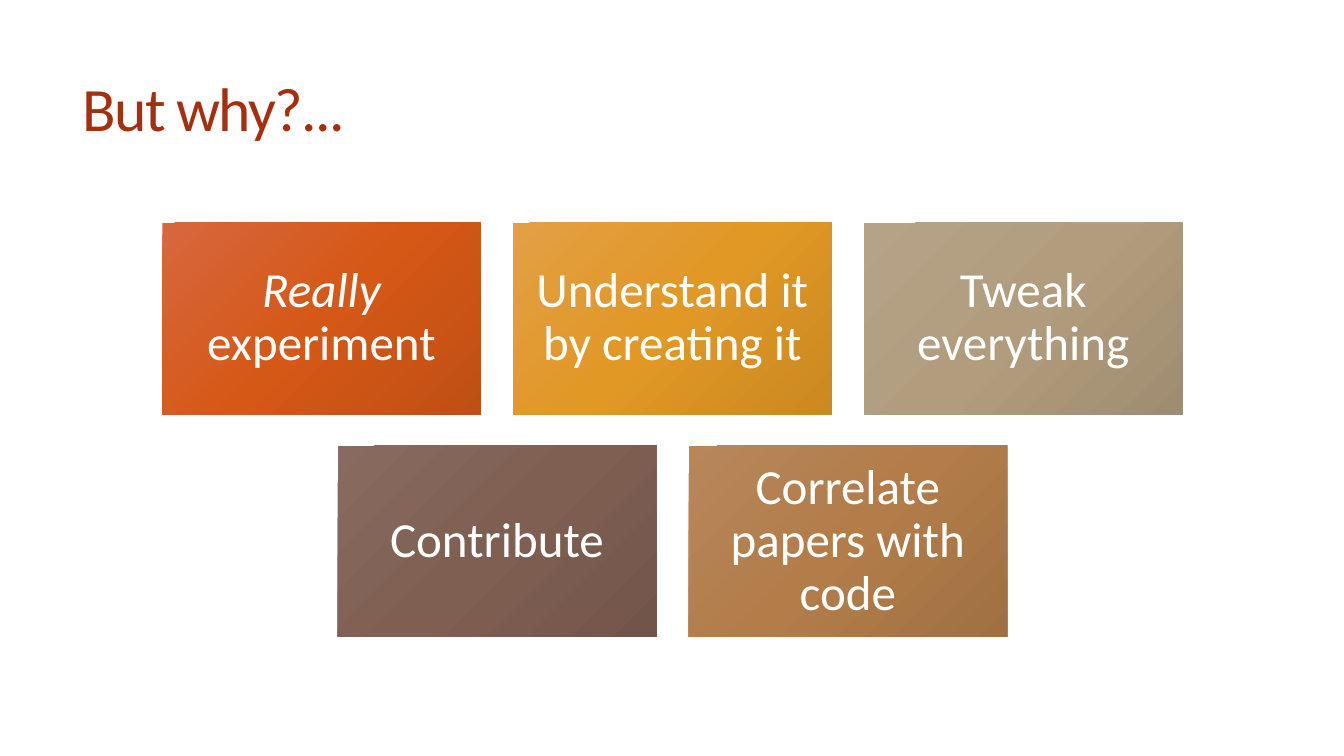
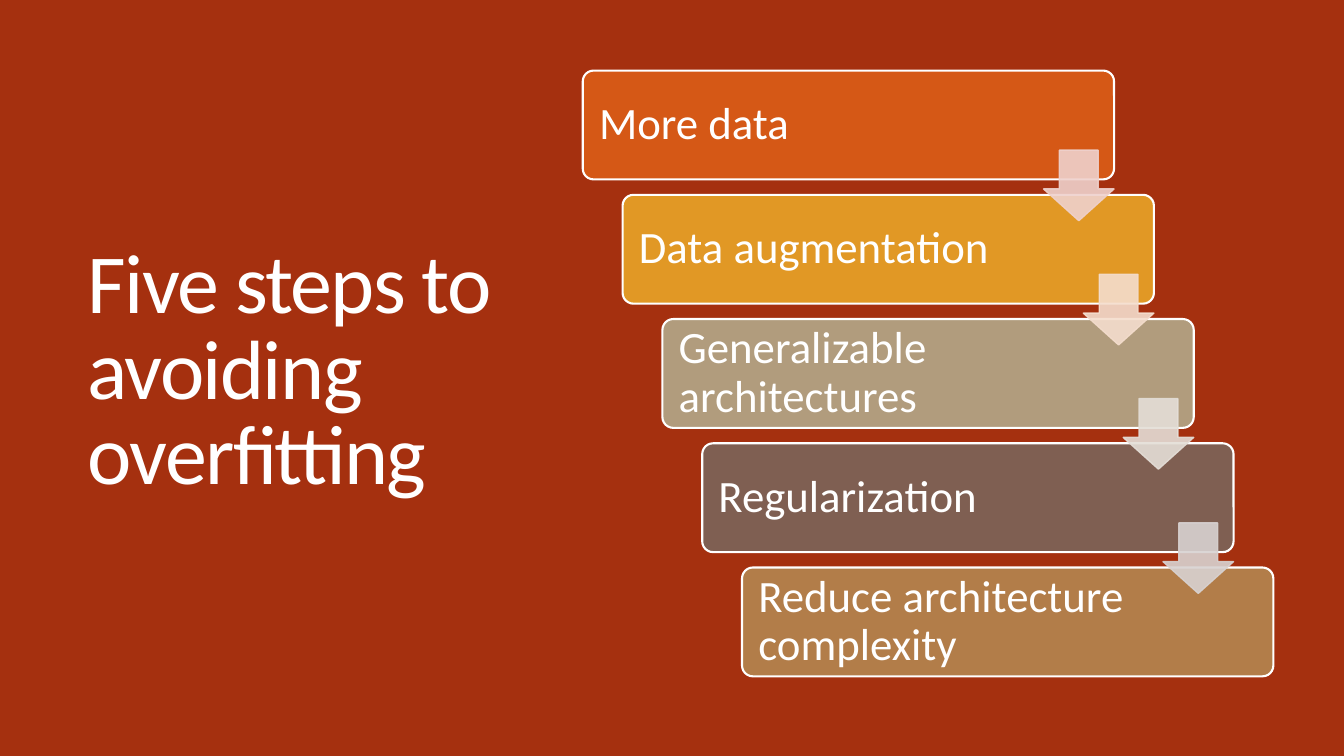
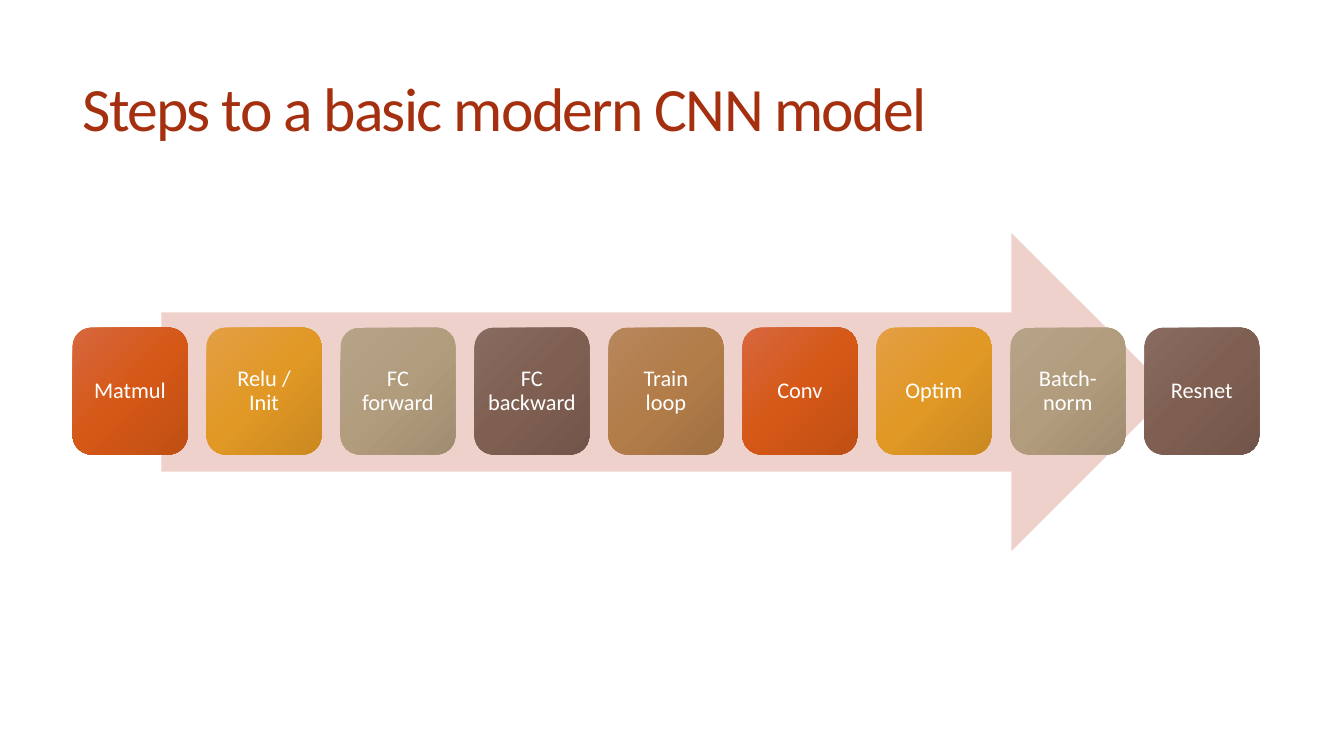
from copy import deepcopy
from dataclasses import dataclass

from pptx import Presentation
from pptx.dml.color import RGBColor
from pptx.enum import shapes, text
from pptx.oxml import ns, xmlchemy
from pptx.util import Inches, Pt

KIND = shapes.MSO_SHAPE
ALIGN = text.PP_ALIGN


@dataclass(frozen=True)
class Theme:
    font: str = "Calibri"
    white: str = "FFFFFF"
    rust: str = "A5300F"
    blush: str = "EFD1CC"
    tones: tuple = (
        ("D7673F", "D55816", "BF4F14"),
        ("E39F45", "E19825", "CA8921"),
        ("B6A387", "B19C7D", "A08C70"),
        ("886B60", "7F5F52", "72554A"),
        ("B7865B", "B27D49", "A07042"),
    )
    tints: tuple = ("EFD1CC", "F4DDCD", "E4DED7", "D8D2D1")
    title: int = 44
    hero: int = 60
    card: int = 35
    step: int = 32
    chip: int = 16
    tight: str = "-120"


THEME = Theme()


def rgb(code):
    return RGBColor.from_string(code)


def write(frame, words, size, color=THEME.white, align=ALIGN.LEFT, lead=0.9):
    frame.word_wrap = True
    frame.vertical_anchor = text.MSO_ANCHOR.MIDDLE
    para = frame.paragraphs[0]
    para.text = words
    para.alignment = align
    para.line_spacing = lead
    font = para.font
    font.name, font.size, font.color.rgb = THEME.font, Pt(size), rgb(color)
    return para


def pad(frame, inset, right=None):
    frame.margin_left = frame.margin_top = frame.margin_bottom = Inches(inset)
    frame.margin_right = Inches(inset if right is None else right)


def add_page(deck, back):
    page = deck.slides.add_slide(deck.slide_layouts[6])
    page.background.fill.solid()
    page.background.fill.fore_color.rgb = rgb(back)
    return page


def add_title(page, words, box=(0.72, 0.55, 11.78, 1.14), size=THEME.title, color=THEME.rust):
    frame = page.shapes.add_textbox(*map(Inches, box)).text_frame
    para = write(frame, words, size, color, lead=0.85)
    for run in para.runs:
        run.font._element.set("spc", THEME.tight)


def add_form(page, kind, box, color=None, edge=None, width=1):
    form = page.shapes.add_shape(kind, *map(Inches, box))
    form.shadow.inherit = False
    if color:
        form.fill.solid()
        form.fill.fore_color.rgb = rgb(color)
    if edge:
        form.line.color.rgb = rgb(edge)
        form.line.width = Pt(width)
    else:
        form.line.fill.background()
    return form


def blend(form, tones):
    form.fill.gradient()
    form.fill.gradient_angle = 315
    stops = form._element.spPr.find(".//" + ns.qn("a:gsLst"))
    stops.append(deepcopy(stops[0]))
    for stop, place, tone in zip(form.fill.gradient_stops, (0, 0.5, 1), tones):
        stop.position = place
        stop.color.rgb = rgb(tone)


def fade(form, share):
    for color in form._element.spPr.iter(ns.qn("a:srgbClr")):
        alpha = xmlchemy.OxmlElement("a:alpha")
        alpha.set("val", str(share * 1000))
        color.append(alpha)


def add_tile(page, kind, box, tones, words, size, inset):
    tile = add_form(page, kind, box)
    blend(tile, tones)
    pad(tile.text_frame, inset)
    return write(tile.text_frame, words, size, align=ALIGN.CENTER)


def why(deck):
    page = add_page(deck, THEME.white)
    add_title(page, "But why?...")
    rows = (
        ("", "Understand it by creating it", "Tweak everything"),
        ("Contribute", "Correlate papers with code"),
    )
    wide, high, gap, mid = 3.16, 1.9, 0.32, 6.67
    tones = iter(THEME.tones)
    for r, row in enumerate(rows):
        left = mid - (len(row) * (wide + gap) - gap) / 2
        for c, words in enumerate(row):
            box = (left + c * (wide + gap), 2.21 + r * 2.21, wide, high)
            para = add_tile(page, KIND.RECTANGLE, box, next(tones), words, THEME.card, 0.15)
            if not words:
                for part, slant in (("Really ", True), ("experiment", False)):
                    run = para.add_run()
                    run.text = part
                    run.font.italic = slant


def stairs(deck):
    page = add_page(deck, THEME.rust)
    add_title(page, "Five steps to avoiding overfitting",
              (0.77, 0.7, 4.37, 6.01), THEME.hero, THEME.white)
    steps = ("More data", "Data augmentation", "Generalizable architectures",
             "Regularization", "Reduce architecture complexity")
    wide, high, side = 5.27, 1.08, 0.7
    spots = [(5.78 + i * 1.58 / 4, 0.7 + i * 4.93 / 4) for i in range(len(steps))]
    for (left, top), words, tones in zip(spots, steps, THEME.tones):
        card = add_form(page, KIND.ROUNDED_RECTANGLE, (left, top, wide, high),
                        tones[1], THEME.white, 1.5)
        card.adjustments[0] = 0.1
        pad(card.text_frame, 0.13, 1.22)
        write(card.text_frame, words, THEME.step)
    for (left, top), tint in zip(spots, THEME.tints):
        box = (left + wide - side, top + 0.79, side, side)
        arrow = add_form(page, KIND.DOWN_ARROW, box, tint, tint)
        arrow.adjustments[0], arrow.adjustments[1] = 0.55, 0.45
        fade(arrow, 90)


def path_to_model(deck):
    page = add_page(deck, THEME.white)
    add_title(page, "Steps to a basic modern CNN model")
    add_form(page, KIND.RIGHT_ARROW, (1.6, 2.31, 10.01, 3.16), THEME.blush)
    chips = ("Matmul", "Relu /\nInit", "FC forward", "FC backward", "Train loop",
             "Conv", "Optim", "Batch-norm", "Resnet")
    for i, words in enumerate(chips):
        box = (0.72 + i * 10.63 / 8, 3.25, 1.14, 1.26)
        tones = THEME.tones[i % len(THEME.tones)]
        add_tile(page, KIND.ROUNDED_RECTANGLE, box, tones, words, THEME.chip, 0.07)


def main():
    deck = Presentation()
    deck.slide_width, deck.slide_height = Inches(13.33), Inches(7.5)
    for build in (why, stairs, path_to_model):
        build(deck)
    deck.save("out.pptx")


if __name__ == "__main__":
    main()
